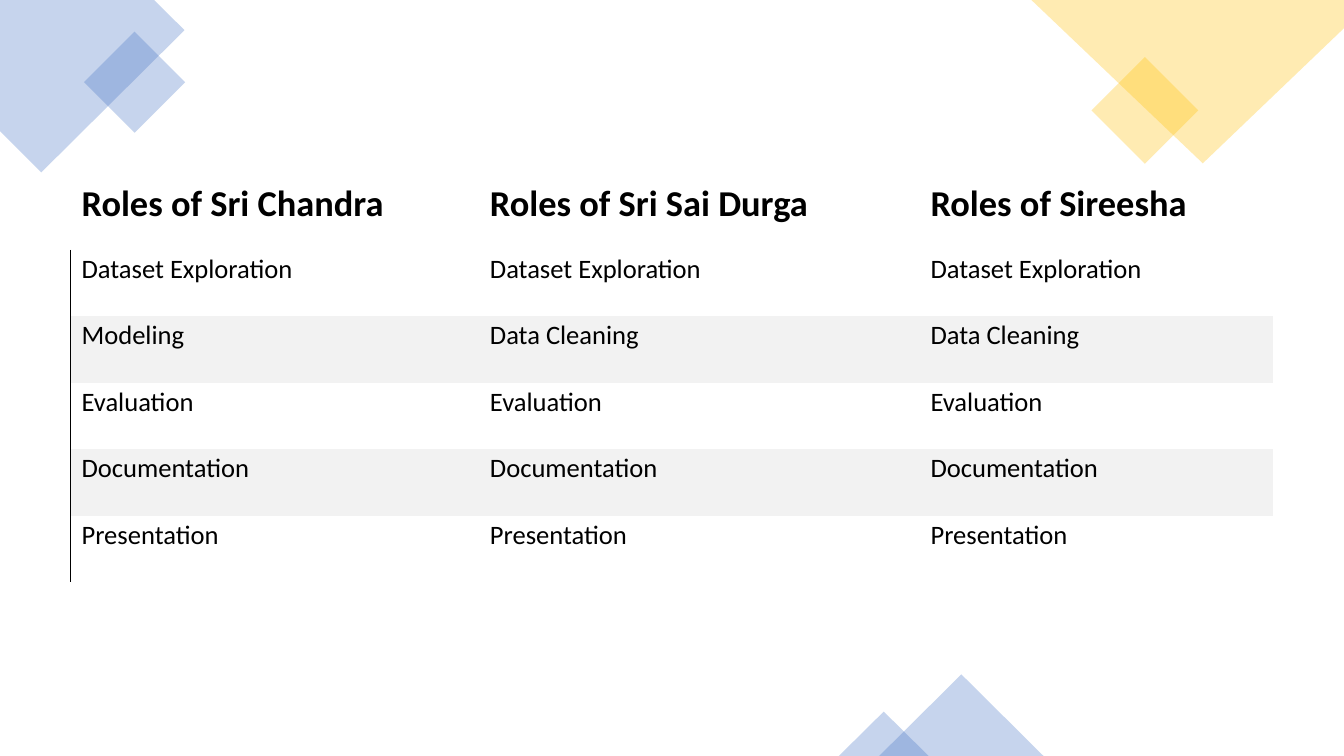
from lxml.etree import SubElement as Sub
from pptx import Presentation
from pptx.dml.color import RGBColor
from pptx.enum.shapes import MSO_SHAPE as Kind
from pptx.enum.text import MSO_ANCHOR as Anchor
from pptx.oxml import parse_xml
from pptx.oxml.ns import qn
from pptx.util import Inches, Pt

BLUE = RGBColor(0x44, 0x72, 0xC4)
GOLD = RGBColor(0xFF, 0xC0, 0x00)
GREY = RGBColor(0xF2, 0xF2, 0xF2)
BLACK = RGBColor(0, 0, 0)
PLAIN = "{2D5ABB26-0587-4C30-8999-92F81FD0307C}"
SPACE = "http://schemas.openxmlformats.org/drawingml/2006/main"
EDGE = (
    f'<a:lnL xmlns:a="{SPACE}" w="9525"><a:solidFill>'
    f'<a:srgbClr val="{BLACK}"/></a:solidFill></a:lnL>'
)

WIDTHS = [4.05, 4.37, 3.51]
HEADS = ["Roles of Sri Chandra", "Roles of Sri Sai Durga", "Roles of Sireesha"]
ROLES = [
    ["Dataset Exploration"] * 3,
    ["Modeling", "Data Cleaning", "Data Cleaning"],
    ["Evaluation"] * 3,
    ["Documentation"] * 3,
    ["Presentation"] * 3,
]


def tint(shape, color):
    shape.shadow.inherit = False
    shape.fill.solid()
    shape.fill.fore_color.rgb = color
    shape.line.fill.background()
    tone = next(shape.fill._xPr.iter(qn("a:srgbClr")))
    Sub(tone, qn("a:alpha"), val="30000")


def add_free(slide, left, top, points, color):
    spots = [(Inches(left + x), Inches(top + y)) for x, y in points]
    form = slide.shapes.build_freeform(*spots[0])
    form.add_line_segments(spots[1:], close=True)
    tint(form.convert_to_shape(), color)


def add_shape(slide, kind, left, top, width, height, color, turn=0):
    box = [Inches(n) for n in (left, top, width, height)]
    shape = slide.shapes.add_shape(kind, *box)
    shape.rotation = turn
    tint(shape, color)


def add_left(slide, left, top):
    points = [(1.53, 0), (0, 0), (0, 1.3), (0.41, 1.71), (1.83, 0.3)]
    add_free(slide, left, top, points, BLUE)
    add_shape(slide, Kind.RECTANGLE, left + 0.98, top + 0.46, 0.71, 0.71, BLUE, 315)


def add_right(slide, left, top):
    add_shape(slide, Kind.RECTANGLE, left + 0.75, top + 0.72, 0.75, 0.75, GOLD, 315)
    points = [(3.1, 0), (0, 0), (1.7, 1.62), (3.1, 0.28)]
    add_free(slide, left, top, points, GOLD)


def add_peaks(slide, left, base):
    for shift, width, height in [(0.4, 1.63, 0.81), (0, 0.89, 0.44)]:
        add_shape(slide, Kind.ISOSCELES_TRIANGLE, left + shift, base - height,
                  width, height, BLUE)


def set_cell(cell, text, head, band):
    cell.margin_left, cell.margin_top = Inches(0.11), Inches(0.03)
    cell.margin_right, cell.margin_bottom = Inches(0.16), Inches(0.24)
    cell.vertical_anchor = Anchor.BOTTOM if head else Anchor.TOP
    cell.text = text
    font = cell.text_frame.paragraphs[0].font
    font.name, font.bold = "Calibri", head
    font.size = Pt(26 if head else 19)
    font.color.rgb = BLACK
    if band:
        cell.fill.solid()
        cell.fill.fore_color.rgb = GREY
    else:
        cell.fill.background()


def add_roles(slide, left, top, width, height):
    rows = [HEADS] + ROLES
    box = [Inches(n) for n in (left, top, width, height)]
    table = slide.shapes.add_table(len(rows), len(HEADS), *box).table
    table.first_row = table.horz_banding = False
    table._tbl.tblPr.find(qn("a:tableStyleId")).text = PLAIN
    for col, size in zip(table.columns, WIDTHS):
        col.width = Inches(size)
    for i, texts in enumerate(rows):
        table.rows[i].height = Inches(0.66 if i else 0.77)
        for j, text in enumerate(texts):
            cell = table.cell(i, j)
            set_cell(cell, text, i == 0, i > 0 and i % 2 == 0)
            if i and j == 0:
                cell._tc.tcPr.insert(0, parse_xml(EDGE))


def main():
    deck = Presentation()
    deck.slide_width, deck.slide_height = Inches(13.33), Inches(7.5)
    slide = deck.slides.add_slide(deck.slide_layouts[6])
    add_left(slide, 0, 0)
    add_right(slide, 10.23, 0)
    add_peaks(slide, 8.32, 7.5)
    add_roles(slide, 0.7, 1.71, 11.93, 4.08)
    deck.save("out.pptx")


if __name__ == "__main__":
    main()
